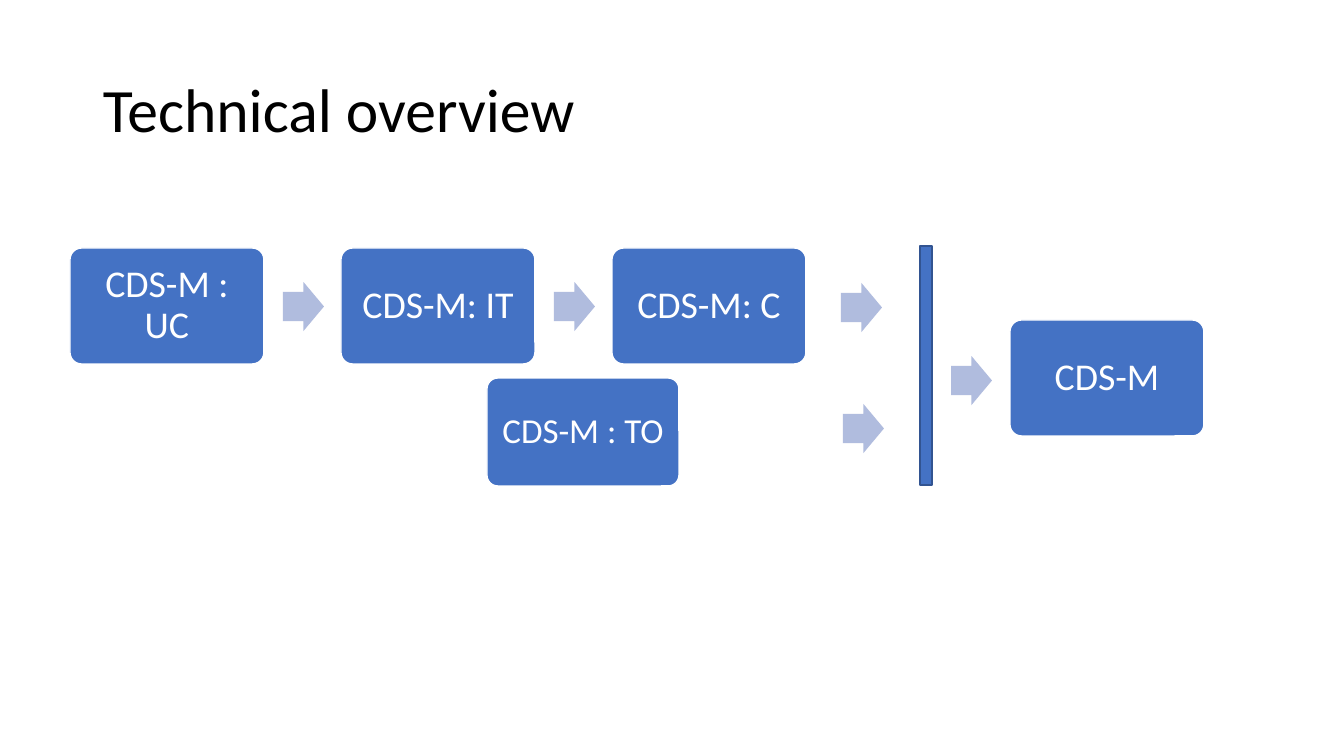
from dataclasses import dataclass

from pptx import Presentation
from pptx.dml.color import RGBColor
from pptx.enum.shapes import MSO_SHAPE as Preset
from pptx.enum.text import MSO_ANCHOR as Anchor, PP_ALIGN as Align
from pptx.shapes.autoshape import Shape
from pptx.text.text import TextFrame
from pptx.util import Emu, Pt

FONT = "Calibri"
BLACK = RGBColor(0x00, 0x00, 0x00)
WHITE = RGBColor(0xFF, 0xFF, 0xFF)
BLUE = RGBColor(0x44, 0x72, 0xC4)
DARK_BLUE = RGBColor(0x32, 0x54, 0x91)
PALE_BLUE = RGBColor(0xB0, 0xBC, 0xDE)


def px(pixels: int) -> Emu:
    """Convert pixels, 100.8 to the inch, to EMU."""
    return Emu(round(pixels * 914400 / 100.8))


@dataclass(frozen=True)
class Step:
    label: str
    left: int
    top: int
    width: int = 194
    height: int = 116
    size: int = 27
    margin: int = 11


@dataclass(frozen=True)
class Arrow:
    left: int
    top: int
    width: int = 41
    height: int = 49


# Flow: three steps in a row, a parallel step, and the merged result
ROW_LEFT, ROW_TOP, ROW_PITCH = 70, 248, 271
ROW_LABELS = ("CDS-M : UC", "CDS-M: IT", "CDS-M: C")
STEPS = [Step(label, ROW_LEFT + i * ROW_PITCH, ROW_TOP) for i, label in enumerate(ROW_LABELS)]
STEPS += [
    Step("CDS-M : TO", 487, 378, width=192, height=108, size=25, margin=10),
    Step("CDS-M", 1010, 320),
]
ARROWS = [Arrow(283 + i * ROW_PITCH, 282) for i in range(len(ROW_LABELS) - 1)]
ARROWS += [Arrow(841, 283), Arrow(843, 404), Arrow(951, 356)]

deck = Presentation()
deck.slide_width, deck.slide_height = px(1344), px(756)
slide = deck.slides.add_slide(deck.slide_layouts[6])


def write(frame: TextFrame, text: str, size: int, color: RGBColor, align: Align) -> None:
    frame.word_wrap = True
    frame.vertical_anchor = Anchor.MIDDLE
    paragraph = frame.paragraphs[0]
    paragraph.text = text
    paragraph.alignment = align
    paragraph.line_spacing = 0.9
    font = paragraph.font
    font.name, font.size = FONT, Pt(size)
    font.color.rgb = color


def add_block(preset: Preset, left: int, top: int, width: int, height: int,
              fill: RGBColor, line: RGBColor | None = None) -> Shape:
    block = slide.shapes.add_shape(preset, px(left), px(top), px(width), px(height))
    block.shadow.inherit = False
    block.fill.solid()
    block.fill.fore_color.rgb = fill
    if line is None:
        block.line.fill.background()
    else:
        block.line.color.rgb = line
        block.line.width = Pt(1)
    return block


def draw_step(step: Step) -> None:
    box = add_block(Preset.ROUNDED_RECTANGLE, step.left, step.top, step.width, step.height, BLUE, WHITE)
    box.adjustments[0] = 0.1
    frame = box.text_frame
    frame.margin_left = frame.margin_right = px(step.margin)
    frame.margin_top = frame.margin_bottom = px(step.margin)
    write(frame, step.label, step.size, WHITE, Align.CENTER)


def draw_arrow(arrow: Arrow) -> None:
    pointer = add_block(Preset.RIGHT_ARROW, arrow.left, arrow.top, arrow.width, arrow.height, PALE_BLUE)
    pointer.adjustments[0] = 0.6
    pointer.adjustments[1] = 0.5


# Title
title = slide.shapes.add_textbox(px(93), px(40), px(1159), px(146))
write(title.text_frame, "Technical overview", 44, BLACK, Align.LEFT)

# Steps and arrows
for step in STEPS:
    draw_step(step)
for arrow in ARROWS:
    draw_arrow(arrow)

# Merge bar
add_block(Preset.RECTANGLE, 920, 246, 12, 239, BLUE, DARK_BLUE)

deck.save("out.pptx")
